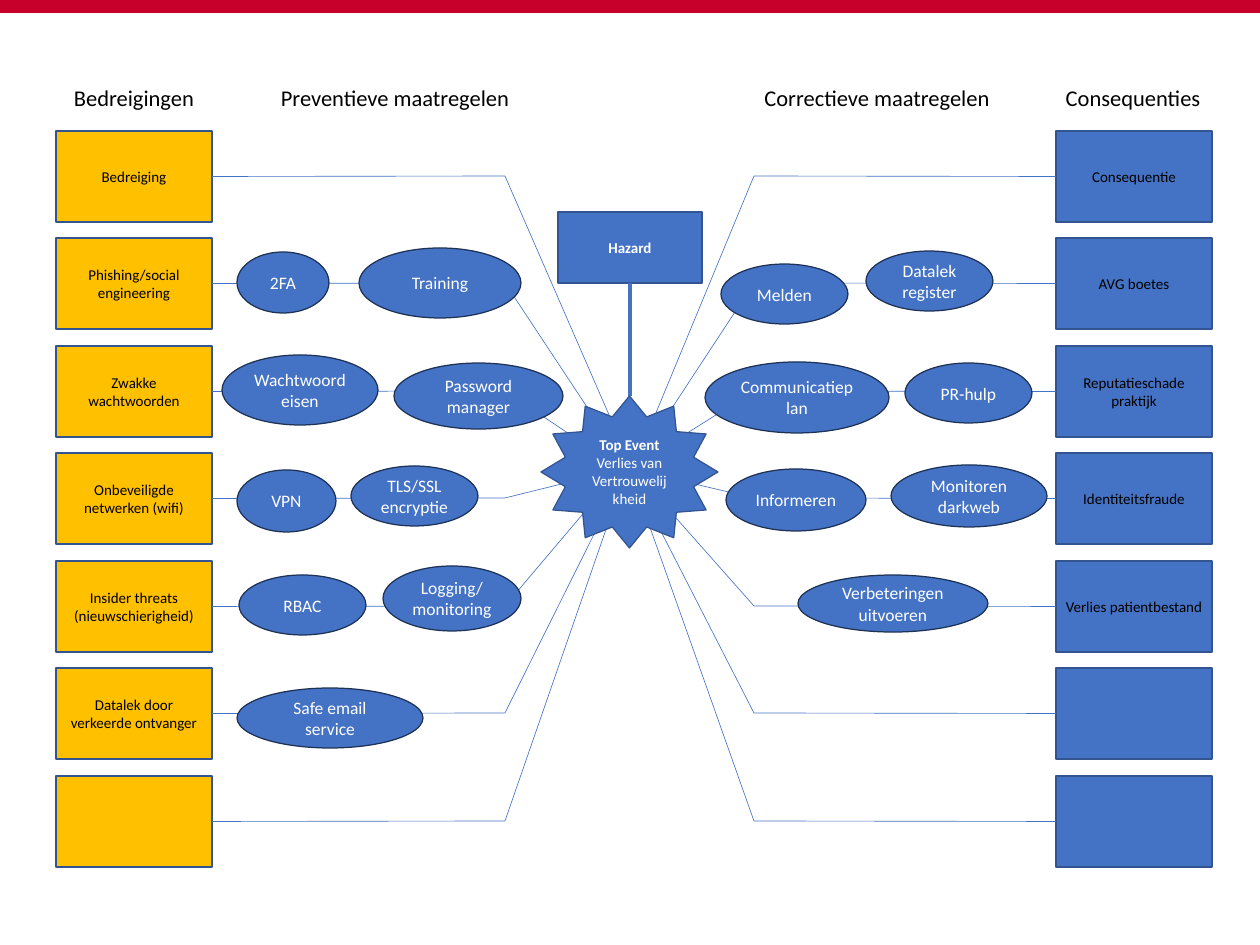
from lxml.etree import SubElement
from pptx import Presentation
from pptx.dml.color import RGBColor
from pptx.enum.shapes import MSO_CONNECTOR as CONNECTOR, MSO_SHAPE as SHAPE
from pptx.enum.text import MSO_ANCHOR as ANCHOR, PP_ALIGN as ALIGN
from pptx.oxml.ns import qn
from pptx.util import Pt

PX = 10160
FONT = "Calibri"
COLORS = {
    "bar": "C7002B",
    "blue": "4472C4",
    "amber": "FFC000",
    "box_line": "325491",
    "oval_line": "1E3256",
    "black": "000000",
    "white": "FFFFFF",
}

presentation = Presentation()
presentation.slide_width = 1260 * PX
presentation.slide_height = 945 * PX
slide = presentation.slides.add_slide(presentation.slide_layouts[6])


def add_shape(geometry, bounds, text, fill, line, size=12, color="white"):
    shape = slide.shapes.add_shape(geometry, *[value * PX for value in bounds])
    shape.shadow.inherit = False
    shape.fill.solid()
    shape.fill.fore_color.rgb = RGBColor.from_string(COLORS[fill])
    shape.line.color.rgb = RGBColor.from_string(COLORS[line])
    shape.line.width = Pt(1)
    text_frame = shape.text_frame
    text_frame.word_wrap = True
    text_frame.vertical_anchor = ANCHOR.MIDDLE
    text_frame.text = text
    for paragraph in text_frame.paragraphs:
        paragraph.alignment = ALIGN.CENTER
        paragraph.font.size = Pt(size)
        paragraph.font.name = FONT
        paragraph.font.color.rgb = RGBColor.from_string(COLORS[color])
    return shape


def add_line(start, end, width=0.5):
    points = [value * PX for value in (*start, *end)]
    connector = slide.shapes.add_connector(CONNECTOR.STRAIGHT, *points)
    connector.line.color.rgb = RGBColor.from_string(COLORS["blue"])
    connector.line.width = Pt(width)
    SubElement(connector.element.spPr, qn("a:effectLst"))
    return connector


bar = add_shape(SHAPE.RECTANGLE, (0, 0, 1260, 13), "", "bar", "bar")
bar.line.fill.background()

headings = [
    (23, 222, "Bedreigingen"),
    (249, 292, "Preventieve maatregelen"),
    (731, 292, "Correctieve maatregelen"),
    (1022, 222, "Consequenties"),
]
for left, width, text in headings:
    heading = slide.shapes.add_textbox(left * PX, 80 * PX, width * PX, 36 * PX)
    heading.text_frame.word_wrap = True
    heading.text_frame.text = text
    paragraph = heading.text_frame.paragraphs[0]
    paragraph.alignment = ALIGN.CENTER
    paragraph.font.size = Pt(18)
    paragraph.font.name = FONT
    paragraph.font.color.rgb = RGBColor.from_string(COLORS["black"])

threats = [
    ("Bedreiging", (630, 463)),
    ("Phishing/social engineering", (634, 478)),
    ("Zwakke wachtwoorden", (626, 472)),
    ("Onbeveiligde netwerken (wifi)", (634, 466)),
    ("Insider threats (nieuwschierigheid)", (626, 463)),
    ("Datalek door verkeerde ontvanger", (628, 466)),
    ("", (628, 466)),
]
consequences = [
    ("Consequentie", (634, 466)),
    ("AVG boetes", (634, 466)),
    ("Reputatieschade praktijk", (635, 466)),
    ("Identiteitsfraude", (635, 470)),
    ("Verlies patientbestand", (630, 466)),
    ("", (628, 467)),
    ("", (630, 471)),
]
sides = [
    (threats, 56, "amber", 212, 505, 3),
    (consequences, 1056, "blue", 1056, 754, 1),
]
for entries, left, fill, edge, bend, site in sides:
    for row, (text, target) in enumerate(entries):
        top = 131 + row * 215 // 2
        middle = top + 45
        box = add_shape(SHAPE.RECTANGLE, (left, top, 156, 91), text, fill, "box_line", color="black")
        branch = add_line((edge, middle), (bend, middle))
        branch.begin_connect(box, site)
        add_line((bend, middle), target)

hazard = add_shape(SHAPE.RECTANGLE, (558, 212, 144, 71), "Hazard", "blue", "box_line")
hazard.text_frame.paragraphs[0].font.bold = True
hazard_line = add_line((630, 283), (630, 396), 4)
hazard_line.begin_connect(hazard, 2)

top_event = add_shape(
    SHAPE.STAR_12_POINT, (541, 396, 177, 152),
    "Top Event\nVerlies van Vertrouwelijkheid", "blue", "box_line",
)
top_event.text_frame.paragraphs[0].font.bold = True

measures = [
    (237, 252, 92, 61, "2FA"),
    (359, 248, 162, 70, "Training"),
    (222, 355, 156, 70, "Wachtwoordeisen"),
    (394, 363, 169, 66, "Password manager"),
    (237, 470, 99, 62, "VPN"),
    (351, 466, 127, 60, "TLS/SSL encryptie"),
    (239, 575, 127, 60, "RBAC"),
    (383, 566, 138, 65, "Logging/ monitoring"),
    (237, 688, 186, 60, "Safe email service"),
    (721, 264, 127, 60, "Melden"),
    (866, 251, 127, 60, "Datalek register"),
    (905, 363, 127, 60, "PR-hulp"),
    (705, 362, 184, 71, "Communicatieplan"),
    (891, 465, 156, 62, "Monitoren darkweb"),
    (726, 469, 140, 62, "Informeren"),
    (798, 575, 190, 57, "Verbeteringen uitvoeren"),
]
for *bounds, text in measures:
    add_shape(SHAPE.OVAL, bounds, text, "blue", "oval_line", 14)

presentation.save("out.pptx")
